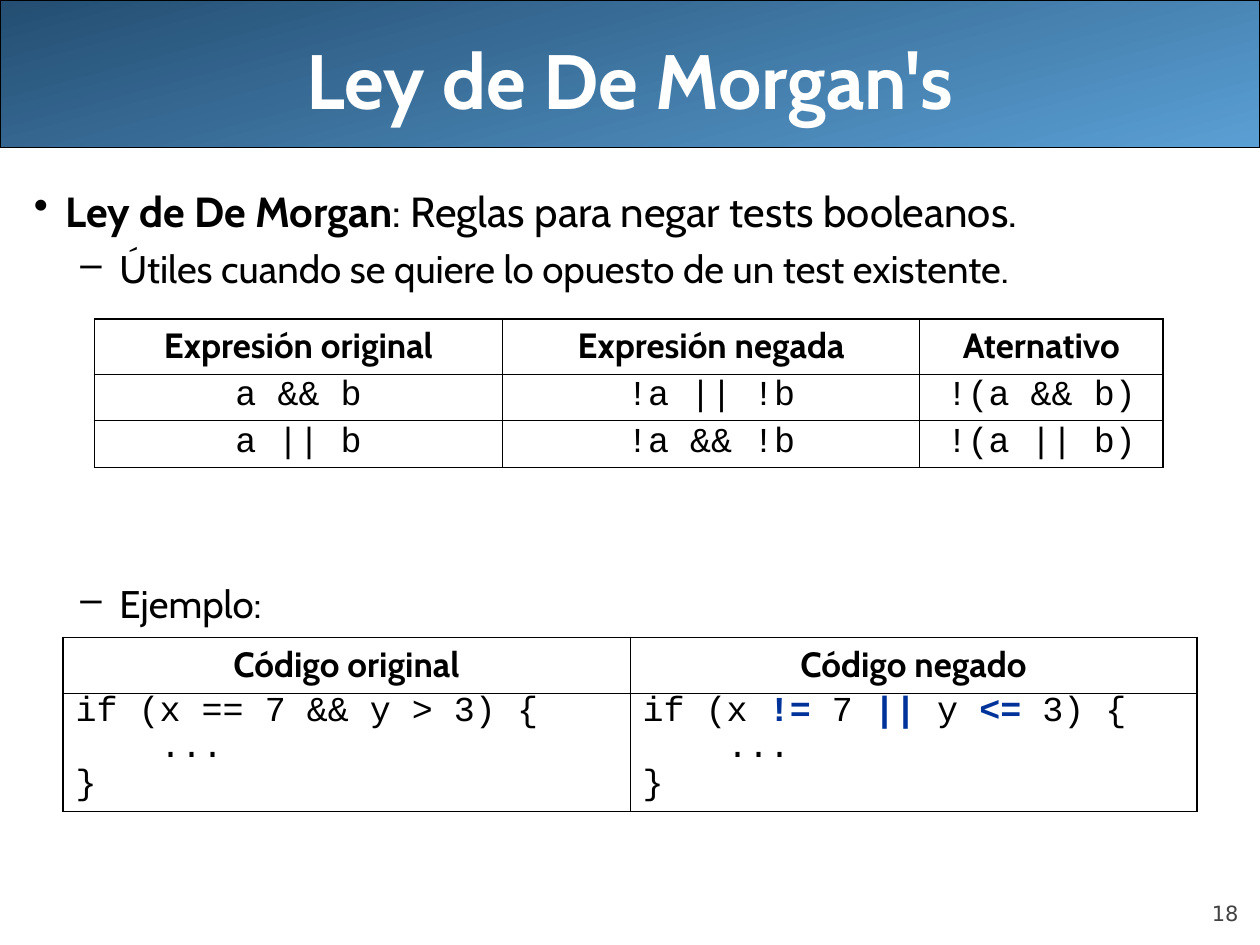
from lxml.etree import SubElement
from pptx import Presentation
from pptx.dml.color import RGBColor
from pptx.enum.shapes import MSO_SHAPE
from pptx.enum.text import MSO_ANCHOR, PP_ALIGN
from pptx.oxml.ns import qn
from pptx.util import Inches, Pt

BLACK = RGBColor(0x00, 0x00, 0x00)
WHITE = RGBColor(0xFF, 0xFF, 0xFF)
GRAY = RGBColor(0x42, 0x42, 0x42)
NAVY = RGBColor(0x00, 0x33, 0x99)
LIGHT_BLUE = RGBColor(0x5A, 0x9F, 0xD4)
DARK_BLUE = RGBColor(0x24, 0x4E, 0x72)

BODY_FONT = "Cabin"
CODE_FONT = "Courier New"
OUTER, INNER = Pt(1.08), Pt(0.45)


def add_run(p, text, size=20, font=BODY_FONT, color=BLACK, bold=False):
    r = p.add_run()
    r.text = text
    r.font.size = Pt(size)
    r.font.name = font
    r.font.color.rgb = color
    r.font.bold = bold


def format_paragraph(p, align=PP_ALIGN.LEFT, before=0, spacing=None,
                     left=0, hanging=0, bullet=None):
    p.alignment = align
    p.space_before = Pt(before)
    if spacing:
        p.line_spacing = spacing
    pPr = p._p.get_or_add_pPr()
    pPr.set("marL", str(Inches(left)))
    pPr.set("indent", str(-Inches(hanging)))
    if bullet:
        SubElement(pPr, qn("a:buChar")).set("char", bullet)


def add_text_box(slide, box, anchor=MSO_ANCHOR.TOP):
    tf = slide.shapes.add_textbox(*map(Inches, box)).text_frame
    tf.word_wrap = True
    tf.vertical_anchor = anchor
    return tf


def add_header(slide, box, title):
    left, top, width, height = box
    # Gradient banner
    sp = slide.shapes.add_shape(MSO_SHAPE.ROUNDED_RECTANGLE, *map(Inches, box))
    sp.adjustments[0] = 0
    sp.shadow.inherit = False
    sp.fill.gradient()
    sp.fill.gradient_angle = 105
    for stop, color in zip(sp.fill.gradient_stops, (LIGHT_BLUE, DARK_BLUE)):
        stop.color.rgb = color
    sp.line.color.rgb = BLACK
    sp.line.width = Pt(0.75)
    # Title
    title_box = (left + 0.5, top, width - 1, height + 0.08)
    p = add_text_box(slide, title_box, MSO_ANCHOR.MIDDLE).paragraphs[0]
    format_paragraph(p, PP_ALIGN.CENTER)
    add_run(p, title, size=44, color=WHITE, bold=True)


def add_body(slide, box):
    tf = add_text_box(slide, box)
    p = tf.paragraphs[0]
    format_paragraph(p, before=6, left=0.25, hanging=0.25, bullet="•")
    add_run(p, "Ley de De Morgan", size=24, bold=True)
    add_run(p, ": Reglas para negar tests booleanos.", size=24)
    # The second sub-item leaves room for the first table
    for text, before in (
        ("Útiles cuando se quiere lo opuesto de un test existente.", 5.5),
        ("Ejemplo:", 165),
    ):
        p = tf.add_paragraph()
        p.level = 1
        format_paragraph(p, before=before, left=0.68, hanging=0.31, bullet="–")
        add_run(p, text, size=22)


def set_borders(cell, widths):
    tcPr = cell._tc.get_or_add_tcPr()
    for tag, width in zip(("a:lnL", "a:lnR", "a:lnT", "a:lnB"), widths):
        ln = SubElement(tcPr, qn(tag), w=str(width))
        fill = SubElement(ln, qn("a:solidFill"))
        SubElement(fill, qn("a:srgbClr"), val=str(BLACK))


def add_grid(slide, left, top, col_widths, row_heights):
    rows, cols = len(row_heights), len(col_widths)
    frame = slide.shapes.add_table(
        rows, cols, Inches(left), Inches(top),
        Inches(sum(col_widths)), Inches(sum(row_heights)))
    table = frame.table
    table.first_row = table.horz_banding = False
    for column, width in zip(table.columns, col_widths):
        column.width = Inches(width)
    for row, height in zip(table.rows, row_heights):
        row.height = Inches(height)
    for i in range(rows):
        for j in range(cols):
            edges = (j == 0, j == cols - 1, i == 0, i == rows - 1)
            cell = table.cell(i, j)
            set_borders(cell, [OUTER if edge else INNER for edge in edges])
            cell.fill.background()
    return table


def fill_header_row(table, titles):
    for cell, title in zip(table.rows[0].cells, titles):
        p = cell.text_frame.paragraphs[0]
        format_paragraph(p, PP_ALIGN.CENTER, before=5)
        add_run(p, title, bold=True)


def add_rules_table(slide, left, top):
    table = add_grid(slide, left, top, (3.24, 3.31, 1.93), (0.44, 0.37, 0.37))
    fill_header_row(
        table, ("Expresión original", "Expresión negada", "Aternativo"))
    rules = (
        ("a && b", "!a || !b", "!(a && b)"),
        ("a || b", "!a && !b", "!(a || b)"),
    )
    for i, rule in enumerate(rules, 1):
        for cell, text in zip(table.rows[i].cells, rule):
            p = cell.text_frame.paragraphs[0]
            format_paragraph(p, PP_ALIGN.CENTER, before=5, spacing=0.8)
            add_run(p, text, font=CODE_FONT)


def add_example_table(slide, left, top):
    table = add_grid(slide, left, top, (4.5, 4.5), (0.44, 0.94))
    fill_header_row(table, ("Código original", "Código negado"))
    # Every second part of a condition is a highlighted operator
    conditions = (
        ("if (x == 7 && y > 3) {",),
        ("if (x ", "!=", " 7 ", "||", " y ", "<=", " 3) {"),
    )
    for cell, condition in zip(table.rows[1].cells, conditions):
        tf = cell.text_frame
        for i, (parts, indent) in enumerate(
                ((condition, 0), (("...",), 0.67), (("}",), 0))):
            p = tf.add_paragraph() if i else tf.paragraphs[0]
            format_paragraph(p, before=5, spacing=0.7, left=indent)
            for k, part in enumerate(parts):
                marked = k % 2 == 1
                add_run(p, part, font=CODE_FONT, bold=marked,
                        color=NAVY if marked else BLACK)


def add_slide_number(slide, box, number):
    tf = add_text_box(slide, box, MSO_ANCHOR.BOTTOM)
    tf.margin_left = tf.margin_right = tf.margin_top = tf.margin_bottom = 0
    p = tf.paragraphs[0]
    format_paragraph(p, PP_ALIGN.RIGHT, before=5)
    add_run(p, number, size=12, font="DejaVu Sans", color=GRAY)


def main():
    prs = Presentation()
    prs.slide_width, prs.slide_height = Inches(10), Inches(7.5)
    slide = prs.slides.add_slide(prs.slide_layouts[6])
    add_header(slide, (0, 0, 10, 1.17), "Ley de De Morgan's")
    add_slide_number(slide, (9, 6.95, 0.83, 0.4), "18")
    add_body(slide, (0.17, 1.42, 9.83, 5.67))
    add_rules_table(slide, 0.75, 2.53)
    add_example_table(slide, 0.5, 5.06)
    prs.save("out.pptx")


if __name__ == "__main__":
    main()
